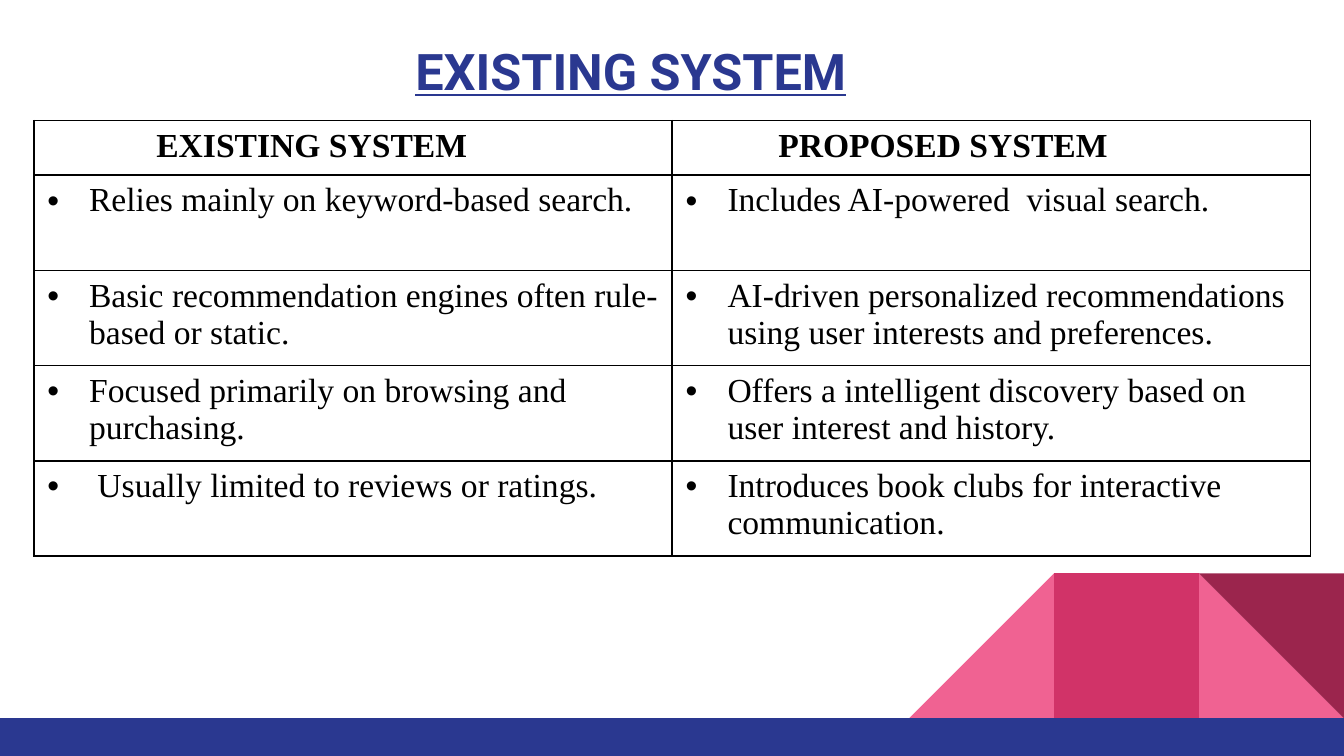
from dataclasses import dataclass

from lxml import etree
from pptx import Presentation
from pptx.dml.color import RGBColor as RGB
from pptx.enum.text import MSO_ANCHOR, MSO_AUTO_SIZE, PP_ALIGN
from pptx.oxml.ns import qn
from pptx.util import Cm, Pt


@dataclass(frozen=True)
class Theme:
    blue: str = "2A3890"
    light_pink: str = "F06292"
    pink: str = "D13368"
    dark_pink: str = "9B254D"
    black: str = "000000"
    title_font: str = "Roboto"
    body_font: str = "Times New Roman"
    title_size: int = 27
    body_size: int = 18
    border_width: int = 1


theme = Theme()
WIDTH, HEIGHT = 25.4, 14.29

presentation = Presentation()
presentation.slide_width, presentation.slide_height = Cm(WIDTH), Cm(HEIGHT)
slide = presentation.slides.add_slide(presentation.slide_layouts[5])


def style_font(paragraph, name, size, color, bold):
    font = paragraph.font
    font.name, font.size, font.bold = name, Pt(size), bold
    font.color.rgb = RGB.from_string(color)


def add_border(cell):
    """Outline all four sides of a cell; the lines must precede its fill."""
    properties = cell._tc.get_or_add_tcPr()
    for position, side in enumerate(("lnL", "lnR", "lnT", "lnB")):
        line = etree.Element(qn(f"a:{side}"), w=str(Pt(theme.border_width)))
        fill = etree.SubElement(line, qn("a:solidFill"))
        etree.SubElement(fill, qn("a:srgbClr"), val=theme.black)
        properties.insert(position, line)


# Corner decoration: three square tiles standing on the bottom band
TILE = 2.74
band_top = 13.58
tile_top = band_top - TILE
x0, x1, x2, x3 = [WIDTH - TILE * count for count in (3, 2, 1, 0)]
polygons = [
    (theme.light_pink, [(x3, band_top), (x2, band_top), (x2, tile_top)]),
    (theme.light_pink, [(x1, band_top), (x0, band_top), (x1, tile_top)]),
    (theme.pink, [(x2, band_top), (x1, band_top), (x1, tile_top), (x2, tile_top)]),
    (theme.dark_pink, [(x3, band_top), (x2, tile_top), (x3, tile_top)]),
    (theme.blue, [(WIDTH, HEIGHT), (0, HEIGHT), (0, band_top), (WIDTH, band_top)]),
]
for color, corners in polygons:
    start, *others = [(Cm(x), Cm(y)) for x, y in corners]
    builder = slide.shapes.build_freeform(*start)
    builder.add_line_segments(others, close=True)
    shape = builder.convert_to_shape()
    shape.shadow.inherit = False
    shape.fill.solid()
    shape.fill.fore_color.rgb = RGB.from_string(color)
    shape.line.fill.background()

# Title
title = slide.shapes.title
title.left, title.top, title.width, title.height = Cm(2.08), Cm(0.36), Cm(19.89), Cm(1.52)
frame = title.text_frame
frame.margin_left, frame.margin_top, frame.margin_right, frame.margin_bottom = Cm(5.77), Cm(0.39), 0, 0
frame.vertical_anchor = MSO_ANCHOR.TOP
frame.auto_size = MSO_AUTO_SIZE.NONE
frame.text = "EXISTING SYSTEM"
paragraph = frame.paragraphs[0]
paragraph.alignment = PP_ALIGN.LEFT
style_font(paragraph, theme.title_font, theme.title_size, theme.blue, True)
paragraph.font.underline = True

# Comparison table
rows = [
    ("EXISTING SYSTEM", "PROPOSED SYSTEM"),
    ("Relies mainly on keyword-based search.",
     "Includes AI-powered  visual search."),
    ("Basic recommendation engines often rule-based or static.",
     "AI-driven personalized recommendations using user interests and preferences."),
    ("Focused primarily on browsing and purchasing.",
     "Offers a intelligent discovery based on user interest and history."),
    (" Usually limited to reviews or ratings.",
     "Introduces book clubs for interactive communication."),
]
HEADER_INDENTS = (2.06, 1.75)
BULLET_INDENT = 0.79
HEADER_HEIGHT, ROW_HEIGHT = 1.03, 1.8

table = slide.shapes.add_table(
    len(rows), 2, Cm(0.64), Cm(2.28), Cm(24.13),
    Cm(HEADER_HEIGHT + ROW_HEIGHT * (len(rows) - 1))).table
table.first_row = table.horz_banding = False
for row_index, texts in enumerate(rows):
    is_header = row_index == 0
    table.rows[row_index].height = Cm(HEADER_HEIGHT if is_header else ROW_HEIGHT)
    for column_index, text in enumerate(texts):
        cell = table.cell(row_index, column_index)
        cell.fill.background()
        add_border(cell)
        cell.text = text
        paragraph = cell.text_frame.paragraphs[0]
        properties = paragraph._p.get_or_add_pPr()
        if is_header:
            properties.set("marL", str(Cm(HEADER_INDENTS[column_index])))
        else:
            properties.set("marL", str(Cm(BULLET_INDENT)))
            properties.set("indent", str(-Cm(BULLET_INDENT)))
            etree.SubElement(properties, qn("a:buFont"), typeface="Arial")
            etree.SubElement(properties, qn("a:buChar"), char="•")
        style_font(paragraph, theme.body_font, theme.body_size, theme.black, is_header)

presentation.save("out.pptx")
